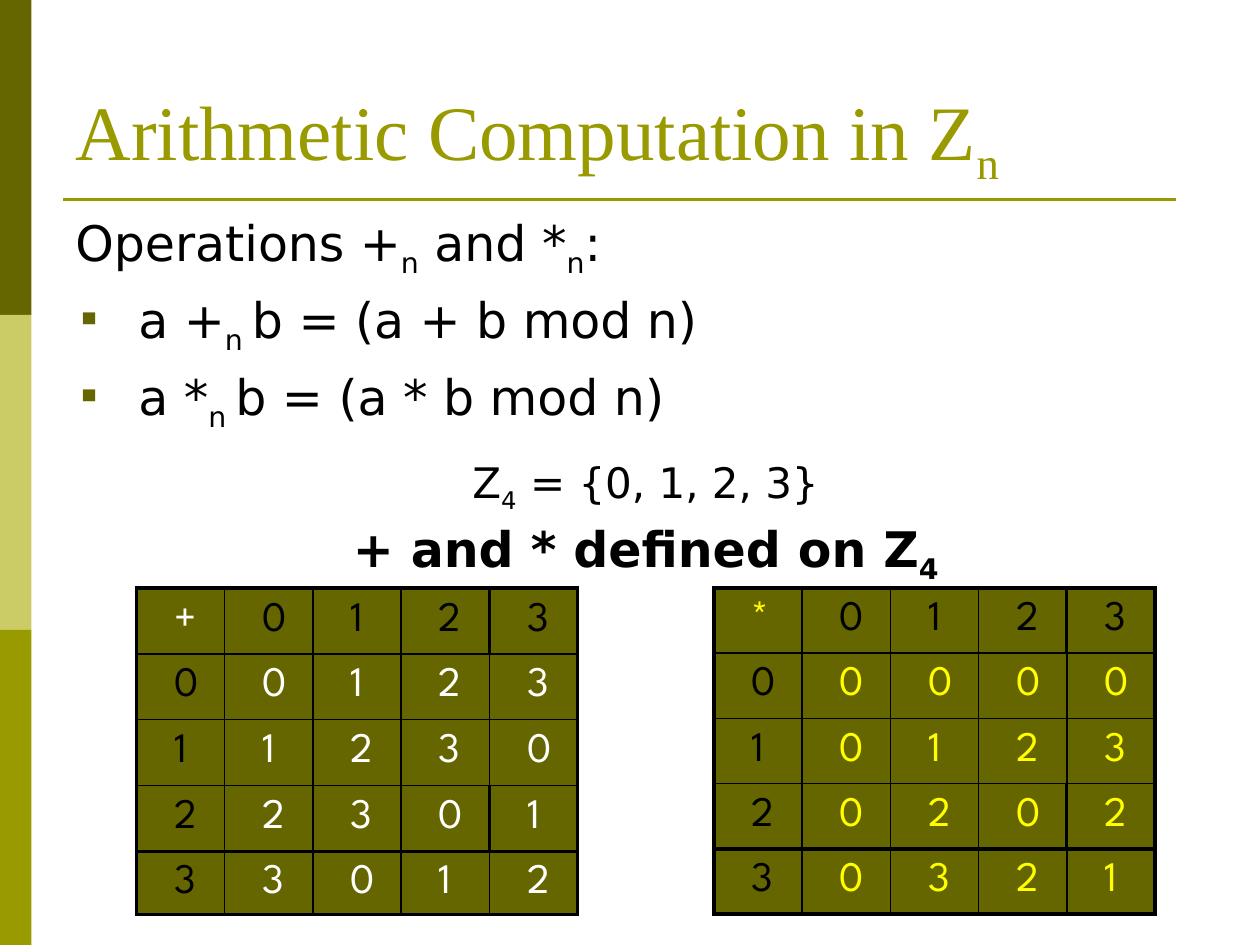
from lxml import etree
from pptx import Presentation
from pptx.dml.color import RGBColor
from pptx.enum.shapes import MSO_CONNECTOR, MSO_SHAPE
from pptx.enum.text import MSO_ANCHOR, MSO_AUTO_SIZE, PP_ALIGN
from pptx.oxml.ns import qn
from pptx.util import Pt

LEFT, CENTER = PP_ALIGN.LEFT, PP_ALIGN.CENTER
MIDDLE, BOTTOM = MSO_ANCHOR.MIDDLE, MSO_ANCHOR.BOTTOM
FIT_SHAPE, NO_FIT = MSO_AUTO_SIZE.SHAPE_TO_FIT_TEXT, MSO_AUTO_SIZE.NONE
RECT, STRAIGHT = MSO_SHAPE.RECTANGLE, MSO_CONNECTOR.STRAIGHT

BLACK = RGBColor(0x00, 0x00, 0x00)
WHITE = RGBColor(0xFF, 0xFF, 0xFF)
YELLOW = RGBColor(0xFF, 0xFF, 0x00)
DARK_OLIVE = RGBColor(0x66, 0x66, 0x00)
OLIVE = RGBColor(0x99, 0x99, 0x00)
LIGHT_OLIVE = RGBColor(0xCC, 0xCC, 0x66)

TITLE_FONT, BODY_FONT, TABLE_FONT = "Times New Roman", "DejaVu Sans", "League Spartan"
THIN, THICK = 1, 2.25
N = 4


def write(p, text, size=28, font=BODY_FONT, color=BLACK, bold=False,
          align=LEFT, before=0, line=None):
    """Fill a paragraph; every second part between bars is a subscript."""
    p.alignment = align
    p.space_before = Pt(before)
    if line:
        p.line_spacing = line
    for i, part in enumerate(text.split("|")):
        if not part:
            continue
        r = p.add_run()
        r.text = part
        r.font.size = Pt(size)
        r.font.name = font
        r.font.bold = bold
        r.font.color.rgb = color
        if i % 2:
            r.font._element.set("baseline", "-25000")


def add_bullet(p, char="▪", color=DARK_OLIVE, percent=75, indent=36):
    pPr = p._p.get_or_add_pPr()
    pPr.set("marL", str(Pt(indent)))
    pPr.set("indent", str(-Pt(indent)))
    clr = etree.SubElement(pPr, qn("a:buClr"))
    etree.SubElement(clr, qn("a:srgbClr"), val=str(color))
    etree.SubElement(pPr, qn("a:buSzPct"), val=str(percent * 1000))
    etree.SubElement(pPr, qn("a:buChar"), char=char)


def set_borders(cell, **widths):
    tcPr = cell._tc.get_or_add_tcPr()
    for side, width in widths.items():
        ln = etree.SubElement(tcPr, qn("a:ln" + side), w=str(Pt(width)))
        fill = etree.SubElement(ln, qn("a:solidFill"))
        etree.SubElement(fill, qn("a:srgbClr"), val=str(BLACK))


def column_rule(row, edge):
    """Width of the vertical rule at a column edge."""
    heavy = edge in (0, N + 1) or (edge == N and row in (0, N - 1))
    return THICK if heavy else THIN


def row_rule(edge):
    return THICK if edge in (0, N, N + 1) else THIN


class Deck:
    """Holds the presentation and its current slide; lengths are in points."""

    def __init__(self, width, height):
        self.prs = Presentation()
        self.prs.slide_width, self.prs.slide_height = Pt(width), Pt(height)
        self.s = self.prs.slides.add_slide(self.prs.slide_layouts[5])

    def title(self, text, x, y, w, h):
        sp = self.s.shapes.title
        sp.left, sp.top, sp.width, sp.height = Pt(x), Pt(y), Pt(w), Pt(h)
        tf = sp.text_frame
        tf.auto_size = NO_FIT
        tf.vertical_anchor = BOTTOM
        write(tf.paragraphs[0], text, size=44, font=TITLE_FONT, color=OLIVE)

    def block(self, color, x, y, w, h):
        sp = self.s.shapes.add_shape(RECT, Pt(x), Pt(y), Pt(w), Pt(h))
        sp.shadow.inherit = False
        sp.fill.solid()
        sp.fill.fore_color.rgb = color
        sp.line.fill.background()

    def rule(self, x1, x2, y):
        line = self.s.shapes.add_connector(STRAIGHT, Pt(x1), Pt(y), Pt(x2), Pt(y))
        line.line.color.rgb = OLIVE
        line.line.width = Pt(1.5)
        etree.SubElement(line._element.spPr, qn("a:effectLst"))

    def text(self, paragraphs, x, y, w, h):
        """Each paragraph is its text, whether it has a bullet, and its format."""
        tf = self.s.shapes.add_textbox(Pt(x), Pt(y), Pt(w), Pt(h)).text_frame
        tf.word_wrap = True
        tf.auto_size = FIT_SHAPE
        for i, (text, bullet, style) in enumerate(paragraphs):
            p = tf.add_paragraph() if i else tf.paragraphs[0]
            write(p, text, **style)
            if bullet:
                add_bullet(p)

    def operation_table(self, sign, operation, color, x, y, row_height, last_height):
        size = N + 1
        height = N * row_height + last_height
        table = self.s.shapes.add_table(
            size, size, Pt(x), Pt(y), Pt(252), Pt(height)).table
        table.first_row = table.horz_banding = False
        for i in range(size):
            table.columns[i].width = Pt(252 / size)
            table.rows[i].height = Pt(last_height if i == N else row_height)
        for row in range(size):
            for col in range(size):
                if row and col:
                    value = operation(row - 1, col - 1) % N
                else:
                    value = row + col - 1 if row or col else sign
                heading = (row == 0) != (col == 0)
                self.cell(table.cell(row, col), str(value),
                          BLACK if heading else color, row, col)

    def cell(self, cell, text, color, row, col):
        set_borders(cell, L=column_rule(row, col), R=column_rule(row, col + 1),
                    T=row_rule(row), B=row_rule(row + 1))
        cell.fill.solid()
        cell.fill.fore_color.rgb = DARK_OLIVE
        cell.vertical_anchor = MIDDLE
        cell.margin_left = cell.margin_right = Pt(21.6)
        cell.margin_top = cell.margin_bottom = Pt(3.6)
        write(cell.text_frame.paragraphs[0], text, size=24, font=TABLE_FONT,
              color=color, before=4.8)


def main():
    deck = Deck(720, 540)
    for i, color in enumerate((DARK_OLIVE, LIGHT_OLIVE, OLIVE)):
        deck.block(color, 0, 180 * i, 18, 180)
    deck.rule(36, 672, 114)

    centered = {"align": CENTER, "line": 0.9}
    deck.text([
        ("Z|4| = {0, 1, 2, 3}", False, {"size": 24, "before": 4.8, **centered}),
        ("+ and * defined on Z|4|", False, {"bold": True, "before": 5.6, **centered}),
    ], 42, 258, 654, 70.5)

    deck.operation_table("+", lambda a, b: a + b, WHITE, 78, 336, 37.65, 36)
    deck.operation_table("*", lambda a, b: a * b, YELLOW, 408, 336, 37.3, 37.3)

    spaced = {"before": 5.6}
    deck.text([
        ("Operations +|n| and *|n|:", False, spaced),
        ("a +|n |b = (a + b mod n)", True, spaced),
        ("a *|n |b = (a * b mod n)", True, spaced),
    ], 36, 118, 840, 122.5)

    deck.title("Arithmetic Computation in Z|n|", 36, 48, 648, 63.5)
    deck.prs.save("out.pptx")


if __name__ == "__main__":
    main()
